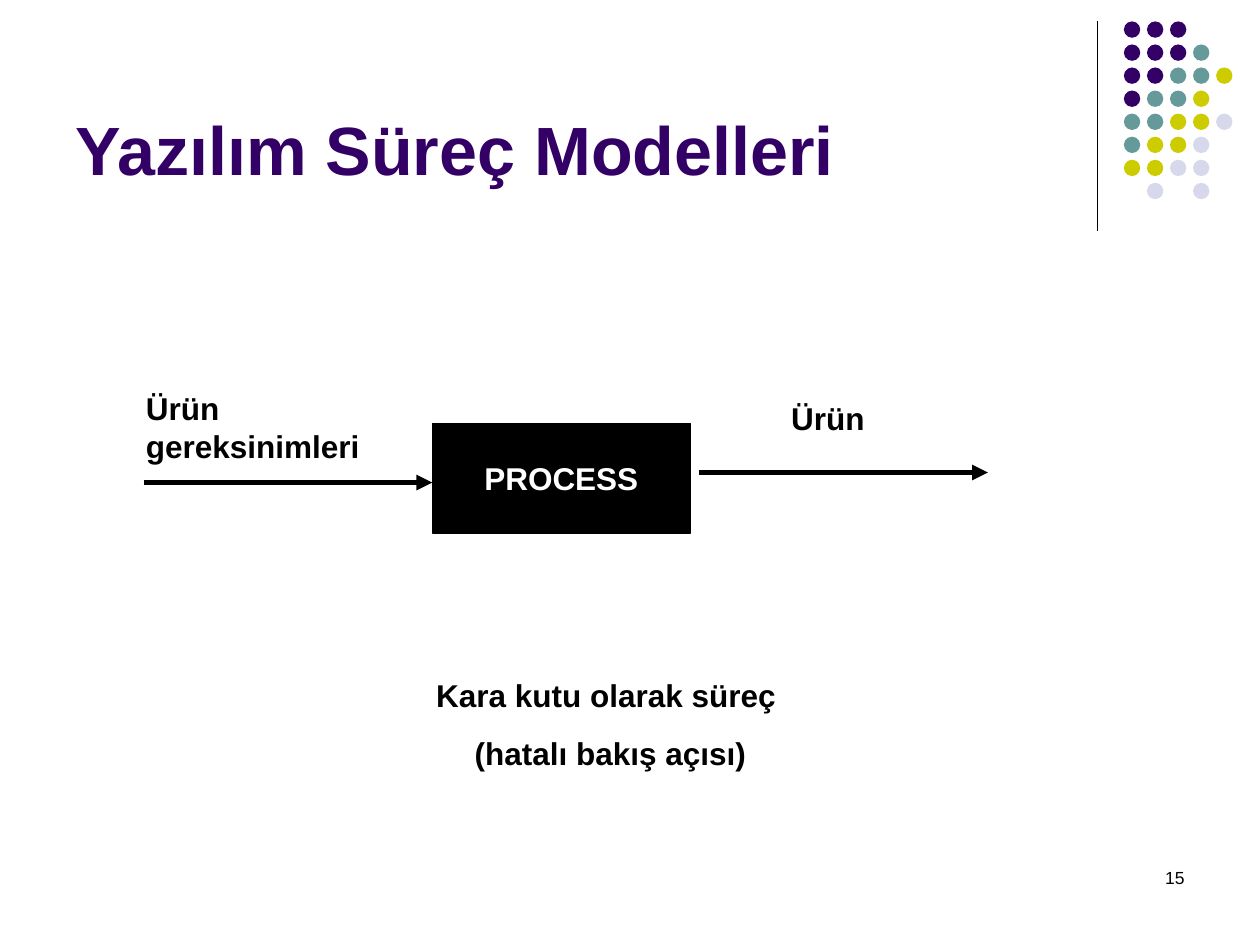
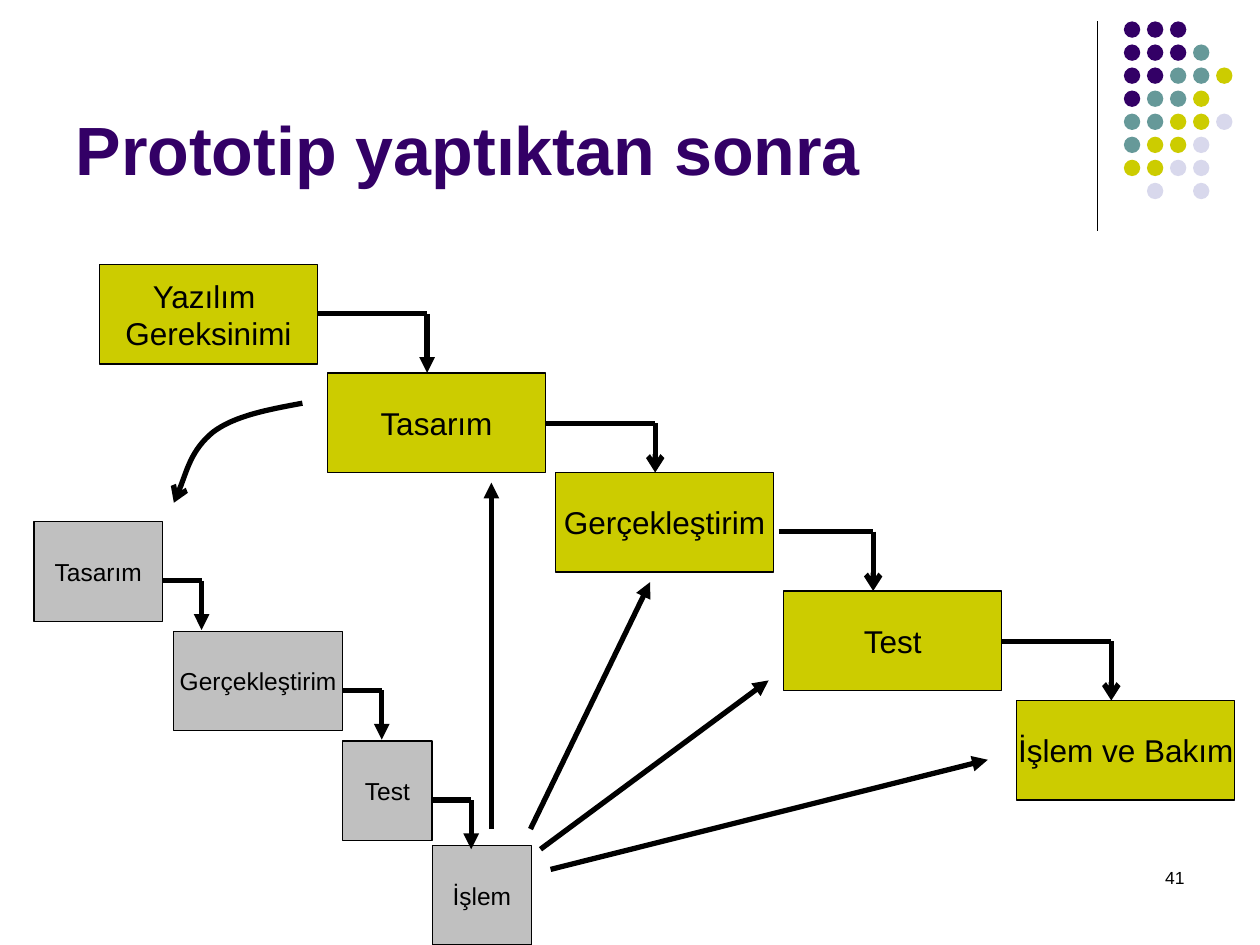
from pptx import Presentation
from pptx import util as u
from pptx.dml.color import RGBColor
from pptx.enum import shapes, text
from pptx.oxml import ns, xmlchemy

PURPLE = RGBColor(0x33, 0x00, 0x66)
TEAL = RGBColor(0x66, 0x99, 0x99)
OLIVE = RGBColor(0xCC, 0xCC, 0x00)
LAVENDER = RGBColor(0xD8, 0xD8, 0xEC)
GRAY = RGBColor(0xC0, 0xC0, 0xC0)
BLACK = RGBColor(0x00, 0x00, 0x00)
WHITE = RGBColor(0xFF, 0xFF, 0xFF)

FONT = "Arial"
THIN, THICK = 0.74, 3
DOT_COLORS = {"P": PURPLE, "T": TEAL, "O": OLIVE, "L": LAVENDER}
DOT_ROWS = ["PPP", "PPPT", "PPTTO", "PTTO", "TTOOL", "TOOL", "OOLL", " L L"]
LEFT, CENTER, RIGHT = text.PP_ALIGN.LEFT, text.PP_ALIGN.CENTER, text.PP_ALIGN.RIGHT


def write(frame, lines, size, color=BLACK, bold=False, align=LEFT, before=0):
    """Fill a text frame with one run per paragraph."""
    for index, line in enumerate(lines):
        paragraph = frame.add_paragraph() if index else frame.paragraphs[0]
        paragraph.alignment = align
        paragraph.space_before = u.Pt(before)
        run = paragraph.add_run()
        run.text = line
        run.font.name = FONT
        run.font.size = u.Pt(size)
        run.font.bold = bold
        run.font.color.rgb = color


def add_label(slide, box, lines, size=18, **style):
    """Add a wrapping text box."""
    label = slide.shapes.add_textbox(*map(u.Inches, box))
    label.text_frame.word_wrap = True
    write(label.text_frame, lines, size, **style)


def add_block(slide, box, lines, fill, size=18, color=BLACK, bold=False):
    """Add an outlined rectangle with centred text."""
    block = slide.shapes.add_shape(shapes.MSO_SHAPE.RECTANGLE, *map(u.Inches, box))
    block.shadow.inherit = False
    block.fill.solid()
    block.fill.fore_color.rgb = fill
    block.line.color.rgb = BLACK
    block.line.width = u.Pt(THIN)
    block.text_frame.word_wrap = False
    block.text_frame.vertical_anchor = text.MSO_ANCHOR.MIDDLE
    write(block.text_frame, lines, size, color, bold, CENTER)


def style_line(line, width, head):
    """Set a black line with an optional arrowhead at its end."""
    line.color.rgb = BLACK
    line.width = u.Pt(width)
    if head:
        tail_end = xmlchemy.OxmlElement("a:tailEnd")
        tail_end.set("type", head)
        line._get_or_add_ln().append(tail_end)


def add_line(slide, start, end, head=None, width=THICK):
    """Add a straight connector without a shadow."""
    connector = slide.shapes.add_connector(
        shapes.MSO_CONNECTOR.STRAIGHT, *map(u.Inches, (*start, *end)))
    style_line(connector.line, width, head)
    connector._element.spPr.append(xmlchemy.OxmlElement("a:effectLst"))


def add_curve(slide, points, head):
    """Add an open curve: a start point, then three points per Bezier segment."""
    places = [tuple(map(u.Inches, point)) for point in points]
    builder = slide.shapes.build_freeform(*places[0])
    builder.add_line_segments(places[1:], close=False)
    curve = builder.convert_to_shape()
    curve.shadow.inherit = False
    curve.fill.background()
    style_line(curve.line, THICK, head)
    segments = list(curve._element.iter(ns.qn("a:lnTo")))
    for first in range(0, len(segments), 3):
        bezier = xmlchemy.OxmlElement("a:cubicBezTo")
        segments[first].addprevious(bezier)
        for segment in segments[first:first + 3]:
            bezier.append(segment[0])
            segment.getparent().remove(segment)


def add_dots(slide, left, top):
    """Draw the corner ornament of coloured dots."""
    pitch, diameter = 0.183, 0.13
    for row, codes in enumerate(DOT_ROWS):
        for column, code in enumerate(codes):
            if code == " ":
                continue
            dot = slide.shapes.add_shape(
                shapes.MSO_SHAPE.OVAL, u.Inches(left + column * pitch),
                u.Inches(top + row * pitch), u.Inches(diameter), u.Inches(diameter))
            dot.shadow.inherit = False
            dot.fill.solid()
            dot.fill.fore_color.rgb = DOT_COLORS[code]
            dot.line.fill.background()


def add_base_slide(deck, heading, number):
    """Add a slide with the shared ornament, title and page number."""
    slide = deck.slides.add_slide(deck.slide_layouts[5])
    add_line(slide, (8.71, 0.17), (8.71, 1.83), width=THIN)
    add_dots(slide, 8.92, 0.17)
    add_label(slide, (7.17, 6.83, 2.33, 0.5), [number], 10, align=RIGHT)
    title = slide.shapes.title
    title.left, title.top, title.width, title.height = map(
        u.Inches, (0.5, 0.13, 8.25, 1.42))
    title.text_frame.word_wrap = True
    title.text_frame.auto_size = text.MSO_AUTO_SIZE.NONE
    title.text_frame.vertical_anchor = text.MSO_ANCHOR.BOTTOM
    write(title.text_frame, [heading], 39, PURPLE, True)
    return slide


def add_black_box(slide, left, top):
    """Draw the process as a black box with its input, output and caption."""
    add_block(slide, (left + 2.37, top + 0.32, 2.05, 0.87), ["PROCESS"],
              BLACK, color=WHITE, bold=True)
    arrow_length = 2.29
    for x, y in [(left + 0.08, top + 0.79), (left + 4.49, top + 0.71)]:
        add_line(slide, (x, y), (x + arrow_length, y), "triangle")
    for box, lines, align in [
        ((left, top, 2.13, 0.7), ["Ürün gereksinimleri"], LEFT),
        ((left + 5.12, top + 0.08, 1.18, 0.4), ["Ürün"], LEFT),
        ((left + 0.95, top + 2.28, 5.67, 0.86),
         ["Kara kutu olarak süreç ", "(hatalı bakış açısı)"], CENTER),
    ]:
        add_label(slide, box, lines, bold=True, align=align, before=11.2)


def add_cascade(slide, left, top, stages, elbows, fill, size):
    """Draw descending stages, each joined to the next by an elbow arrow."""
    height = 0.79
    for lines, x, y, width in stages:
        add_block(slide, (left + x, top + y, width, height), lines, fill, size)
    for (_, x, y, width), (gap, depth, run, drop, head) in zip(stages, elbows):
        start = left + x + width + gap
        bend, level = start + run, top + y + depth
        add_line(slide, (start, level), (bend, level))
        add_line(slide, (bend, level), (bend, level + drop), head)


def add_feedback(slide, left, top):
    """Draw the arrows from the prototype's last stage to the main stages."""
    for start, end in [
        ((0, 2.75), (0, 0)),
        ((0.31, 2.75), (1.26, 0.79)),
        ((0.39, 2.91), (2.2, 1.57)),
        ((0.47, 3.07), (3.94, 2.2)),
    ]:
        add_line(slide, (left + start[0], top + start[1]),
                 (left + end[0], top + end[1]), "triangle")


def build_process_slide(deck):
    """Build the black box view of the process."""
    slide = add_base_slide(deck, "Yazılım Süreç Modelleri", "15")
    add_black_box(slide, 1.06, 3.04)


def build_prototype_slide(deck):
    """Build the main cascade with the prototype cascade beside it."""
    slide = add_base_slide(deck, "Prototip yaptıktan sonra", "41")
    main_width = 1.73
    main_stages = [
        (["Yazılım ", "Gereksinimi"], 0, 0, main_width),
        (["Tasarım"], 1.81, 0.86, main_width),
        (["Gerçekleştirim"], 3.62, 1.65, main_width),
        (["Test"], 5.43, 2.59, main_width),
        (["İşlem ve Bakım"], 7.28, 3.46, main_width),
    ]
    main_elbows = [
        (0, 0.39, 0.87, 0.47, "triangle"),
        (0, 0.4, 0.87, 0.39, "arrow"),
        (0.04, 0.47, 0.75, 0.47, "arrow"),
        (0, 0.4, 0.87, 0.47, "arrow"),
    ]
    add_cascade(slide, 0.79, 2.1, main_stages, main_elbows, OLIVE, 18)
    prototype_stages = [
        (["Tasarım"], 0, 0, 1.02),
        (["Gerçekleştirim"], 1.11, 0.87, 1.34),
        (["Test"], 2.45, 1.74, 0.71),
        (["İşlem"], 3.16, 2.57, 0.79),
    ]
    prototype_elbows = [(0, 0.47, 0.31, 0.39, "triangle")] * 3
    add_cascade(slide, 0.27, 4.14, prototype_stages, prototype_elbows, GRAY, 14)
    add_curve(slide, [(2.4, 3.2), (2.13, 3.25), (1.86, 3.3), (1.69, 3.43),
                      (1.52, 3.57), (1.43, 3.89), (1.38, 3.99)], "arrow")
    add_feedback(slide, 3.9, 3.83)


def main():
    """Build and save the deck."""
    deck = Presentation()
    deck.slide_width, deck.slide_height = u.Inches(10), u.Inches(7.5)
    build_process_slide(deck)
    build_prototype_slide(deck)
    deck.save("out.pptx")


main()
